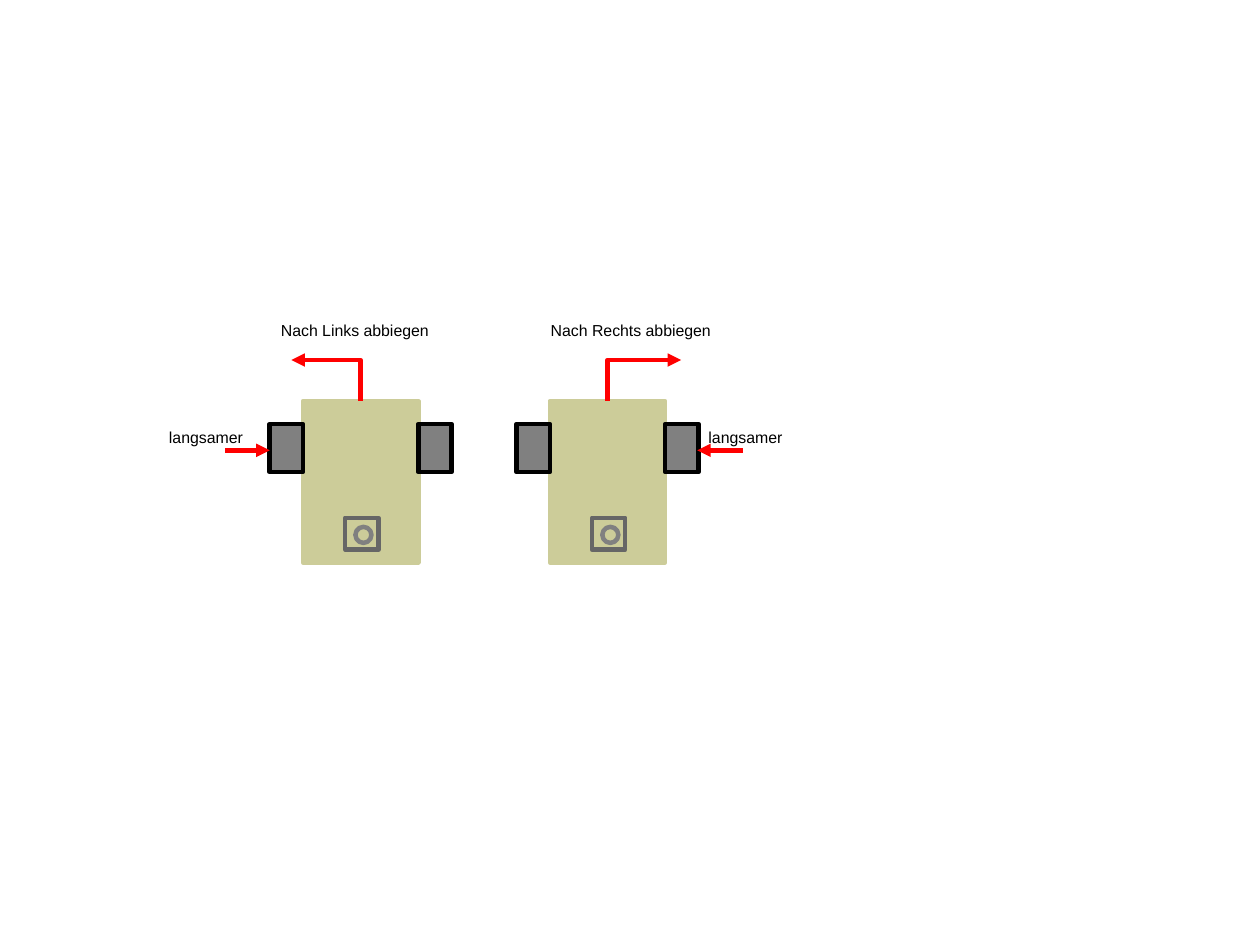
from lxml import etree
from pptx import Presentation
from pptx import util as u
from pptx.dml.color import RGBColor
from pptx.enum import shapes, text
from pptx.oxml.ns import qn

THEME = {
    "font": "Arial", "size": 10, "line": 2.83,
    "ink": "000000", "arrow": "FF0000", "body": "CCCC99",
    "wheel": "808080", "mount": "666666",
}

CM_PER_INCH = 2.54
SLIDE_WIDTH, SLIDE_HEIGHT = 28 / CM_PER_INCH, 21 / CM_PER_INCH

ROBOTS = [
    {"left": 2.65, "title": "Nach Links abbiegen", "title_left": 2.36,
     "turn_tip": 2.55, "brake_from": 1.97, "brake_to": 2.36, "label_left": 1.38},
    {"left": 4.81, "title": "Nach Rechts abbiegen", "title_left": 4.72,
     "turn_tip": 5.96, "brake_from": 6.5, "brake_to": 6.1, "label_left": 6.1},
]
SLOWER = "langsamer"

RECTANGLE = shapes.MSO_SHAPE.RECTANGLE
OVAL = shapes.MSO_SHAPE.OVAL
BODY_TOP, BODY_WIDTH, BODY_HEIGHT = 3.51, 1.01, 1.41
WHEEL_WIDTH = 0.29
ROBOT_PARTS = [
    (RECTANGLE, 0, BODY_TOP, BODY_WIDTH, BODY_HEIGHT, "body", "body"),
    (RECTANGLE, -WHEEL_WIDTH, 3.71, WHEEL_WIDTH, 0.42, "wheel", "ink"),
    (RECTANGLE, 0.37, 4.53, 0.29, 0.28, None, "mount"),
    (RECTANGLE, BODY_WIDTH, 3.71, WHEEL_WIDTH, 0.42, "wheel", "ink"),
    (OVAL, 0.46, 4.61, 0.14, 0.14, None, "wheel"),
]
TURN_Y, BRAKE_Y, TITLE_Y, LABEL_Y = 3.15, 3.94, 2.76, 3.69


def color(name):
    return RGBColor.from_string(THEME[name])


def inches(*values):
    return [u.Inches(value) for value in values]


def set_line(line, name):
    line.color.rgb = color(name)
    line.width = u.Pt(THEME["line"])


def add_part(slide, kind, left, top, width, height, fill, line):
    shape = slide.shapes.add_shape(kind, *inches(left, top, width, height))
    shape.shadow.inherit = False
    if fill:
        shape.fill.solid()
        shape.fill.fore_color.rgb = color(fill)
    else:
        shape.fill.background()
    set_line(shape.line, line)


def add_arrow(slide, tip, tail, bent=False):
    kind = shapes.MSO_CONNECTOR.ELBOW if bent else shapes.MSO_CONNECTOR.STRAIGHT
    connector = slide.shapes.add_connector(kind, *inches(*tip, *tail))
    set_line(connector.line, "arrow")
    properties = connector._element.spPr
    outline = properties.find(qn("a:ln"))
    etree.SubElement(outline, qn("a:headEnd"), type="triangle")
    etree.SubElement(properties, qn("a:effectLst"))
    if bent:
        adjustments = properties.find(qn("a:prstGeom")).find(qn("a:avLst"))
        etree.SubElement(adjustments, qn("a:gd"), name="adj1", fmla="val 100000")


def add_text(slide, content, *, left, top, width, height=0.25, size=THEME["size"], ink="ink"):
    box = slide.shapes.add_textbox(*inches(left, top, width, height))
    frame = box.text_frame
    frame.word_wrap = True
    frame.auto_size = text.MSO_AUTO_SIZE.SHAPE_TO_FIT_TEXT
    run = frame.paragraphs[0].add_run()
    run.text = content
    run.font.name = THEME["font"]
    run.font.size = u.Pt(size)
    run.font.color.rgb = color(ink)


def add_robot(slide, robot):
    for kind, offset, top, width, height, fill, line in ROBOT_PARTS:
        add_part(slide, kind, robot["left"] + offset, top, width, height, fill, line)
    front = (robot["left"] + BODY_WIDTH / 2, BODY_TOP)
    add_arrow(slide, (robot["turn_tip"], TURN_Y), front, bent=True)
    add_arrow(slide, (robot["brake_to"], BRAKE_Y), (robot["brake_from"], BRAKE_Y))
    add_text(slide, robot["title"], left=robot["title_left"], top=TITLE_Y, width=1.77)
    add_text(slide, SLOWER, left=robot["label_left"], top=LABEL_Y, width=0.98)


def main():
    presentation = Presentation()
    presentation.slide_width = u.Inches(SLIDE_WIDTH)
    presentation.slide_height = u.Inches(SLIDE_HEIGHT)
    slide = presentation.slides.add_slide(presentation.slide_layouts[6])
    for robot in ROBOTS:
        add_robot(slide, robot)
    presentation.save("out.pptx")


if __name__ == "__main__":
    main()
